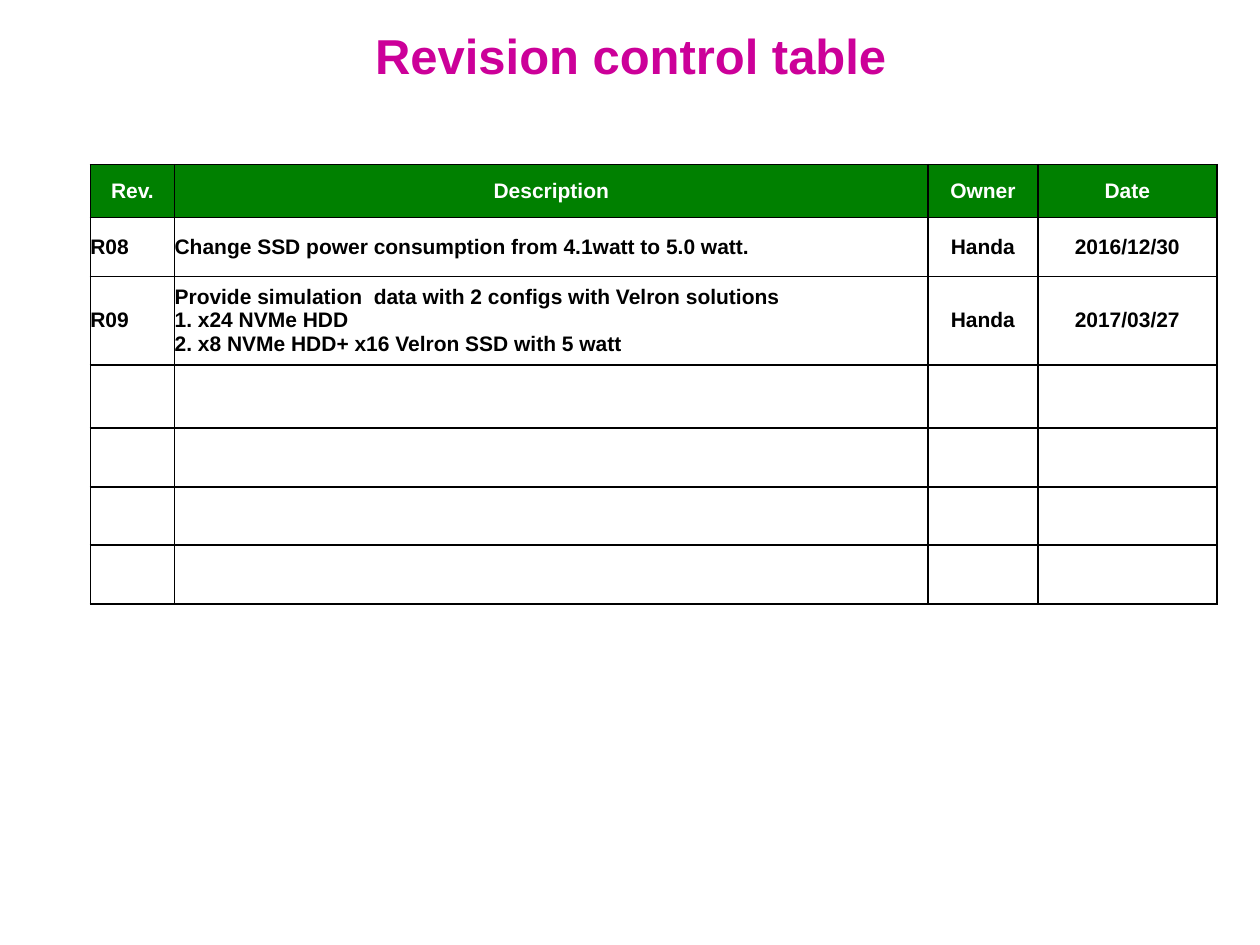
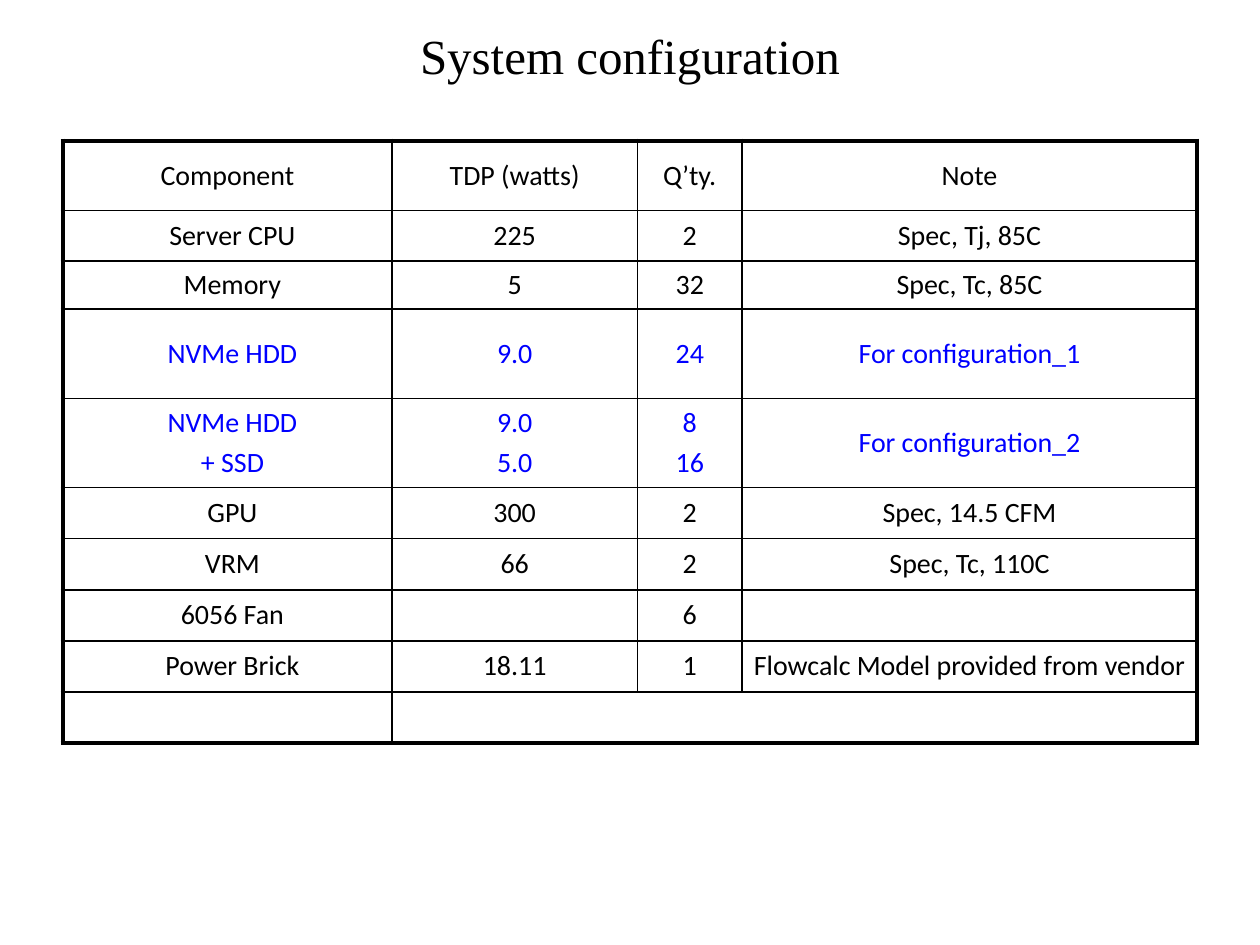
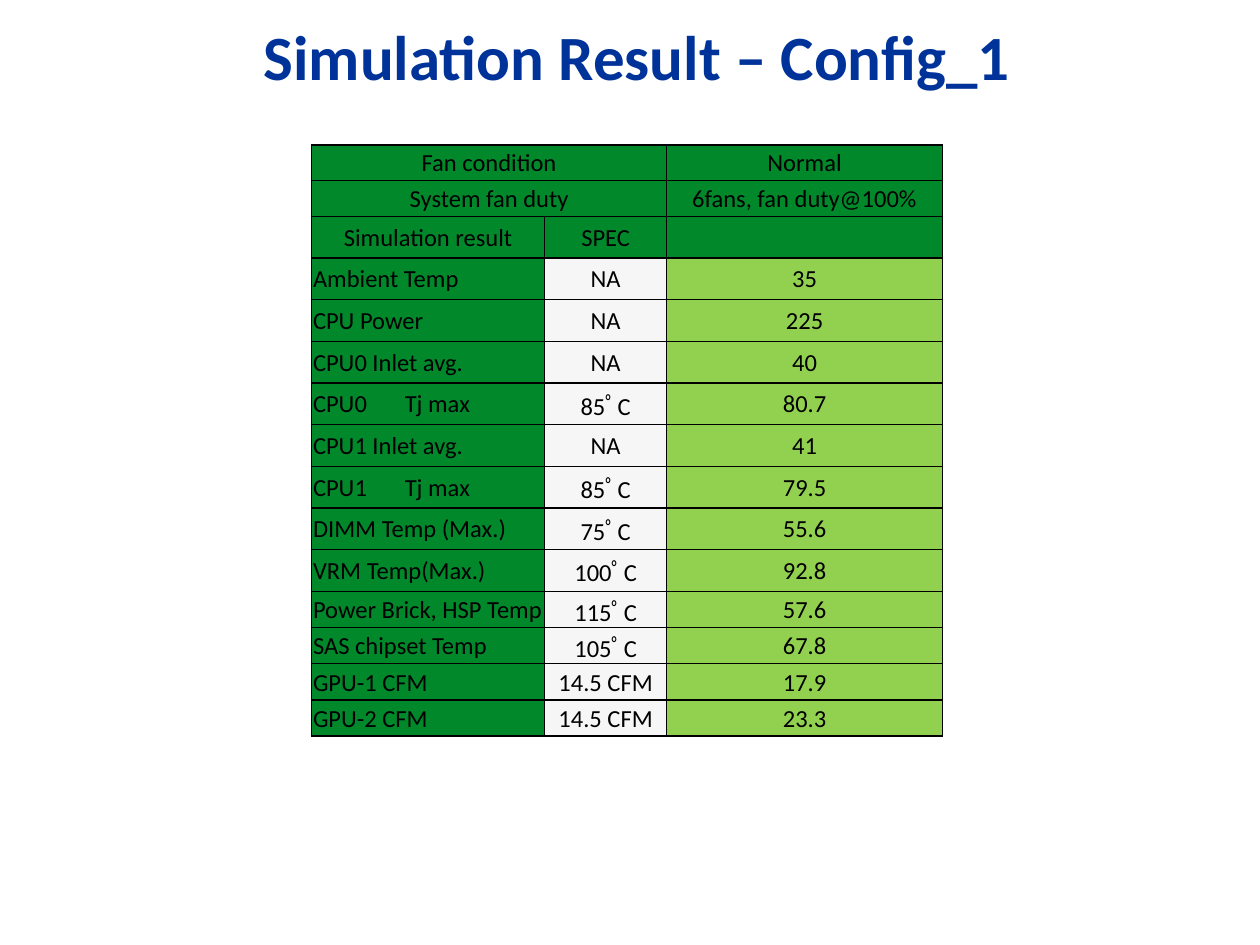
from dataclasses import dataclass
from itertools import product

from lxml.etree import SubElement
from pptx import Presentation
from pptx.dml.color import RGBColor
from pptx.enum.text import MSO_ANCHOR, PP_ALIGN
from pptx.oxml.ns import qn
from pptx.slide import Slide
from pptx.table import Table, _Cell
from pptx.text.text import _Paragraph
from pptx.util import Cm, Pt


# Shared looks
@dataclass(frozen=True)
class Type:
    face: str
    size: int
    color: str
    bold: bool = False


@dataclass(frozen=True)
class Theme:
    black: str = "000000"
    head: str = "008000"
    label: str = "00882B"
    limit: str = "F6F6F6"
    value: str = "92D050"
    thin: float = 1
    thick: float = 3
    log_title: Type = Type("Arial", 28, "CC0099", True)
    log_head: Type = Type("Arial", 12, "FFFFFF", True)
    log_body: Type = Type("Arial", 12, "000000", True)
    part_title: Type = Type("Times New Roman", 28, "000000")
    part_body: Type = Type("Calibri", 16, "000000")
    part_mark: Type = Type("Calibri", 16, "0000FF")
    test_title: Type = Type("Calibri", 36, "003399", True)
    test_body: Type = Type("Calibri", 14, "000000")


THEME = Theme()


@dataclass(frozen=True)
class Title:
    text: str
    left: float
    width: float
    type: Type


@dataclass(frozen=True)
class Grid:
    """A table; lengths in cm, None joins a cell to the one on its left."""
    left: float
    top: float
    cols: tuple[float, ...]
    highs: tuple[float, ...]
    rows: tuple[tuple[str | None, ...], ...]
    body: Type
    head: Type
    pad: tuple[float, float, float, float]  # left, top, right, bottom
    heads: int = 1
    head_fill: str | None = None
    fills: tuple[str | None, ...] = ()
    flush: int = 0  # leading columns set flush left below the head
    indent: float = 0  # left inset of the first column below the head
    edge: float = THEME.thin
    marks: tuple[int, ...] = ()
    mark: Type | None = None
    gap: float = 0
    tab: float = 0


# Drawing
def style(para: _Paragraph, look: Type, align: PP_ALIGN) -> None:
    para.alignment = align
    font = para.font
    font.name, font.size, font.bold = look.face, Pt(look.size), look.bold
    font.color.rgb = RGBColor.from_string(look.color)


def add_title(slide: Slide, title: Title) -> None:
    box = slide.shapes.add_textbox(Cm(title.left), Cm(0.38), Cm(title.width), Cm(1.47))
    frame = box.text_frame
    frame.word_wrap = True
    frame.vertical_anchor = MSO_ANCHOR.MIDDLE
    frame.text = title.text
    style(frame.paragraphs[0], title.type, PP_ALIGN.CENTER)


def add_line(cell: _Cell, side: str, width: float) -> None:
    props = cell._tc.get_or_add_tcPr()
    line = SubElement(props, qn(f"a:ln{side}"), w=str(Pt(width)))
    fill = SubElement(line, qn("a:solidFill"))
    SubElement(fill, qn("a:srgbClr"), val=THEME.black)


def add_tab(para: _Paragraph, place: float) -> None:
    props = para._p.get_or_add_pPr()
    stops = props.makeelement(qn("a:tabLst"), {})
    SubElement(stops, qn("a:tab"), pos=str(Cm(place)), algn="l")
    props.find(qn("a:defRPr")).addprevious(stops)


def fill_cell(cell: _Cell, grid: Grid, row: int, col: int) -> None:
    is_head = row < grid.heads
    look = grid.head if is_head else grid.mark if row in grid.marks else grid.body
    left, top, right, bottom = grid.pad
    if grid.indent and col == 0 and not is_head:
        left = grid.indent
    cell.margin_left, cell.margin_top = Cm(left), Cm(top)
    cell.margin_right, cell.margin_bottom = Cm(right), Cm(bottom)
    cell.vertical_anchor = MSO_ANCHOR.MIDDLE

    # Text
    text = grid.rows[row][col] or ""
    cell.text = text
    flush = col < grid.flush and not is_head
    for spot, para in enumerate(cell.text_frame.paragraphs):
        style(para, look, PP_ALIGN.LEFT if flush else PP_ALIGN.CENTER)
        if spot and grid.gap:
            para.space_before = Pt(grid.gap)
        if "\t" in text:
            add_tab(para, grid.tab)

    # Borders, then fill
    last = col + (cell.span_width if cell.is_merge_origin else 1)
    outer = {"L": col == 0, "R": last == len(grid.cols),
             "T": row == 0, "B": row == len(grid.rows) - 1}
    for side, is_edge in outer.items():
        add_line(cell, side, grid.edge if is_edge else THEME.thin)
    color = grid.head_fill if is_head else grid.fills[col] if grid.fills else None
    if color:
        cell.fill.solid()
        cell.fill.fore_color.rgb = RGBColor.from_string(color)
    else:
        cell.fill.background()


def add_grid(slide: Slide, grid: Grid) -> Table:
    frame = slide.shapes.add_table(
        len(grid.rows), len(grid.cols), Cm(grid.left), Cm(grid.top),
        Cm(sum(grid.cols)), Cm(sum(grid.highs)))
    table = frame.table
    table.first_row = table.horz_banding = False
    for col, width in zip(table.columns, grid.cols):
        col.width = Cm(width)
    for row, high in zip(table.rows, grid.highs):
        row.height = Cm(high)
    for row, texts in enumerate(grid.rows):
        if None in texts:
            start = texts.index(None)
            end = start + texts.count(None) - 1
            table.cell(row, start - 1).merge(table.cell(row, end))
    for row, col in product(range(len(grid.rows)), range(len(grid.cols))):
        fill_cell(table.cell(row, col), grid, row, col)
    return table


# Revision log
LOG = Grid(
    left=1.82, top=3.32,
    cols=(1.7, 15.19, 2.21, 3.61),
    highs=(1.06, 1.19, 1.78, 1.27, 1.19, 1.17, 1.19),
    rows=(
        ("Rev.", "Description", "Owner", "Date"),
        ("R08", "Change SSD power consumption from 4.1watt to 5.0 watt.",
         "Handa", "2016/12/30"),
        ("R09", "Provide simulation  data with 2 configs with Velron solutions\n"
                "1. x24 NVMe HDD\n"
                "2. x8 NVMe HDD+ x16 Velron SSD with 5 watt",
         "Handa", "2017/03/27"),
        *[("",) * 4] * 4,
    ),
    body=THEME.log_body, head=THEME.log_head, head_fill=THEME.head,
    pad=(0, 0.13, 0, 0.13), flush=2,
)

# System parts
PARTS = Grid(
    left=1.27, top=2.84,
    cols=(6.63, 4.95, 2.11, 9.17),
    highs=(1.4, 1.02, 0.97, 1.8, 1.8) + (1.03,) * 5,
    rows=(
        ("Component", "TDP (watts)", "Q’ty.", "Note"),
        ("Server CPU", "225", "2", "Spec, Tj, 85C"),
        ("Memory", "5", "32", "Spec, Tc, 85C"),
        ("NVMe HDD", "9.0", "24", "For configuration_1"),
        ("NVMe HDD\n+ SSD", "9.0\n5.0", "8\n16", "For configuration_2"),
        ("GPU", "300", "2", "Spec, 14.5 CFM"),
        ("VRM", "66", "2", "Spec, Tc, 110C"),
        ("6056 Fan", "", "6", ""),
        ("Power Brick", "18.11", "1", "Flowcalc Model provided from vendor"),
        ("", "", None, None),
    ),
    body=THEME.part_body, head=THEME.part_body,
    pad=(0, 0, 0, 0), indent=0.2, edge=THEME.thick,
    marks=(3, 4), mark=THEME.part_mark, gap=3.2,
)

# Test results
TESTS = Grid(
    left=6.28, top=2.92,
    cols=(4.7, 2.46, 5.56),
    highs=(0.72,) * 2 + (0.84,) * 9 + (0.73,) * 4,
    rows=(
        ("Fan condition", None, "Normal"),
        ("System fan duty", None, "6fans, fan duty@100%"),
        ("Simulation result", "SPEC", ""),
        ("Ambient Temp", "NA", "35"),
        ("CPU Power", "NA", "225"),
        ("CPU0 Inlet avg.", "NA", "40"),
        ("CPU0\tTj max", "85ﾟC", "80.7"),
        ("CPU1 Inlet avg.", "NA", "41"),
        ("CPU1\tTj max", "85ﾟC", "79.5"),
        ("DIMM Temp (Max.)", "75ﾟC", "55.6"),
        ("VRM Temp(Max.)", "100ﾟC", "92.8"),
        ("Power Brick, HSP Temp", "115ﾟC", "57.6"),
        ("SAS chipset Temp", "105ﾟC", "67.8"),
        ("GPU-1 CFM", "14.5 CFM", "17.9"),
        ("GPU-2 CFM", "14.5 CFM", "23.3"),
    ),
    body=THEME.test_body, head=THEME.test_body, heads=3,
    head_fill=THEME.label, fills=(THEME.label, THEME.limit, THEME.value),
    pad=(0.03, 0.03, 0.03, 0), flush=1, tab=1.85,
)

PAGES = (
    (Title("Revision control table", 1.27, 22.89, THEME.log_title), LOG),
    (Title("System configuration", 0, 25.4, THEME.part_title), PARTS),
    (Title("Simulation Result – Config_1", 0.28, 25.12, THEME.test_title), TESTS),
)


def main() -> None:
    deck = Presentation()
    deck.slide_width, deck.slide_height = Cm(25.4), Cm(19.05)
    for title, grid in PAGES:
        slide = deck.slides.add_slide(deck.slide_layouts[6])
        add_title(slide, title)
        add_grid(slide, grid)
    deck.save("out.pptx")


if __name__ == "__main__":
    main()
